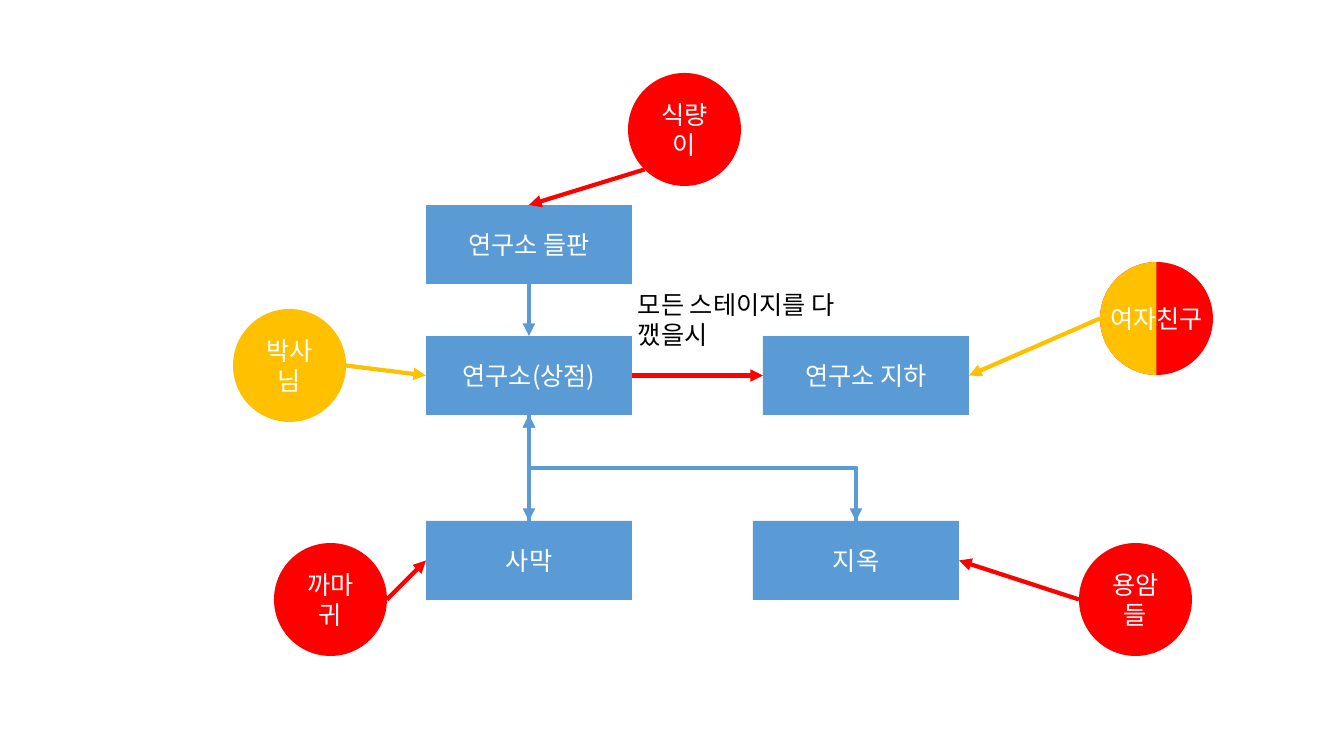
from math import sqrt
from lxml.etree import SubElement
from pptx import Presentation
from pptx.dml.color import RGBColor
from pptx.enum.shapes import MSO_CONNECTOR, MSO_SHAPE
from pptx.enum.text import MSO_ANCHOR, PP_ALIGN
from pptx.oxml.ns import qn
from pptx.util import Inches, Pt

FONT = "Noto Sans CJK KR"
COLORS = {"blue": "5B9BD5", "red": "FF0000", "gold": "FFC000",
          "white": "FFFFFF", "black": "000000"}
BOX_W, BOX_H, CIRCLE = 206, 79, 113

BOXES = {
    "field": ("연구소 들판", 426, 205),
    "desert": ("사막", 426, 521),
    "hell": ("지옥", 753, 521),
    "lab": ("연구소(상점)", 426, 336),
    "basement": ("연구소 지하", 763, 336),
}
CIRCLES = {
    "doctor": ("박사님", 233, 309, "gold"),
    "food": ("식량이", 628, 73, "red"),
    "crow": ("까마귀", 274, 543, "red"),
    "girlfriend": ("", 1100, 262, "red"),
    "lava": ("용암들", 1079, 543, "red"),
}
GIRLFRIEND_HALF = "여자친구"
LABEL = ("모든 스테이지를 다 깼을시", 628, 284, 260, 72)
ARROWS = [
    ("field", "bottom", "lab", "top", "blue"),
    ("lab", "bottom", "desert", "top", "blue"),
    ("desert", "top", "lab", "bottom", "blue"),
    ("lab", "right", "basement", "left", "red"),
    ("doctor", "right", "lab", "left", "gold"),
    ("crow", "right", "desert", "left", "red"),
    ("food", "bottom left", "field", "top", "red"),
    ("lava", "left", "hell", "right", "red"),
    ("girlfriend", "left", "basement", "right", "gold"),
]
ELBOWS = [
    ("lab", "bottom", "hell", "top", "blue"),
    ("hell", "top", "lab", "bottom", "blue"),
]
DIAG = (1 - sqrt(0.5)) / 2
SITES = {"top": (0.5, 0), "bottom": (0.5, 1), "left": (0, 0.5),
         "right": (1, 0.5), "bottom left": (DIAG, 1 - DIAG)}


def px(n):
    return round(n * Inches(1) / 100.8)


def rgb(name):
    return RGBColor.from_string(COLORS[name])


def write(sp, text, color, align):
    tf = sp.text_frame
    tf.word_wrap = True
    tf.text = text
    p = tf.paragraphs[0]
    p.alignment = align
    for r in p.runs:
        r.font.size = Pt(18)
        r.font.color.rgb = rgb(color)
        r.font.name = FONT
        SubElement(r.font._element, qn("a:ea")).set("typeface", FONT)


def add_node(kind, text, x, y, w, h, fill):
    sp = slide.shapes.add_shape(kind, px(x), px(y), px(w), px(h))
    sp.shadow.inherit = False
    sp.fill.solid()
    sp.fill.fore_color.rgb = rgb(fill)
    sp.line.fill.background()
    sp.text_frame.vertical_anchor = MSO_ANCHOR.MIDDLE
    if text:
        write(sp, text, "white", PP_ALIGN.CENTER)
    return sp


def site(name, side):
    sp, (fx, fy) = nodes[name], SITES[side]
    return round(sp.left + fx * sp.width), round(sp.top + fy * sp.height)


def add_arrow(kind, start, end, color):
    cx = slide.shapes.add_connector(kind, *start, *end)
    cx.line.color.rgb = rgb(color)
    cx.line.width = Pt(3)
    SubElement(cx.line._get_or_add_ln(), qn("a:tailEnd")).set("type", "triangle")
    SubElement(cx._element.spPr, qn("a:effectLst"))
    return cx


def quarter_turn(point, center):
    dx, dy = point[0] - center[0], point[1] - center[1]
    return round(center[0] - dy), round(center[1] + dx)


prs = Presentation()
prs.slide_width, prs.slide_height = px(1344), px(756)
slide = prs.slides.add_slide(prs.slide_layouts[6])

nodes = {}
for name, (text, x, y) in BOXES.items():
    nodes[name] = add_node(MSO_SHAPE.RECTANGLE, text, x, y, BOX_W, BOX_H, "blue")
for name, (text, x, y, fill) in CIRCLES.items():
    nodes[name] = add_node(MSO_SHAPE.OVAL, text, x, y, CIRCLE, CIRCLE, fill)

_, x, y, _ = CIRCLES["girlfriend"]
half = add_node(MSO_SHAPE.PIE, GIRLFRIEND_HALF, x, y, CIRCLE, CIRCLE, "gold")
half.adjustments[0], half.adjustments[1] = 54, 162

text, *place = LABEL
write(slide.shapes.add_textbox(*map(px, place)), text, "black", PP_ALIGN.LEFT)

for a, a_side, b, b_side, color in ARROWS:
    add_arrow(MSO_CONNECTOR.STRAIGHT, site(a, a_side), site(b, b_side), color)

for a, a_side, b, b_side, color in ELBOWS:
    start, end = site(a, a_side), site(b, b_side)
    center = [(s + e) / 2 for s, e in zip(start, end)]
    cx = add_arrow(MSO_CONNECTOR.ELBOW, quarter_turn(start, center),
                   quarter_turn(end, center), color)
    cx.rotation = 270

prs.save("out.pptx")
